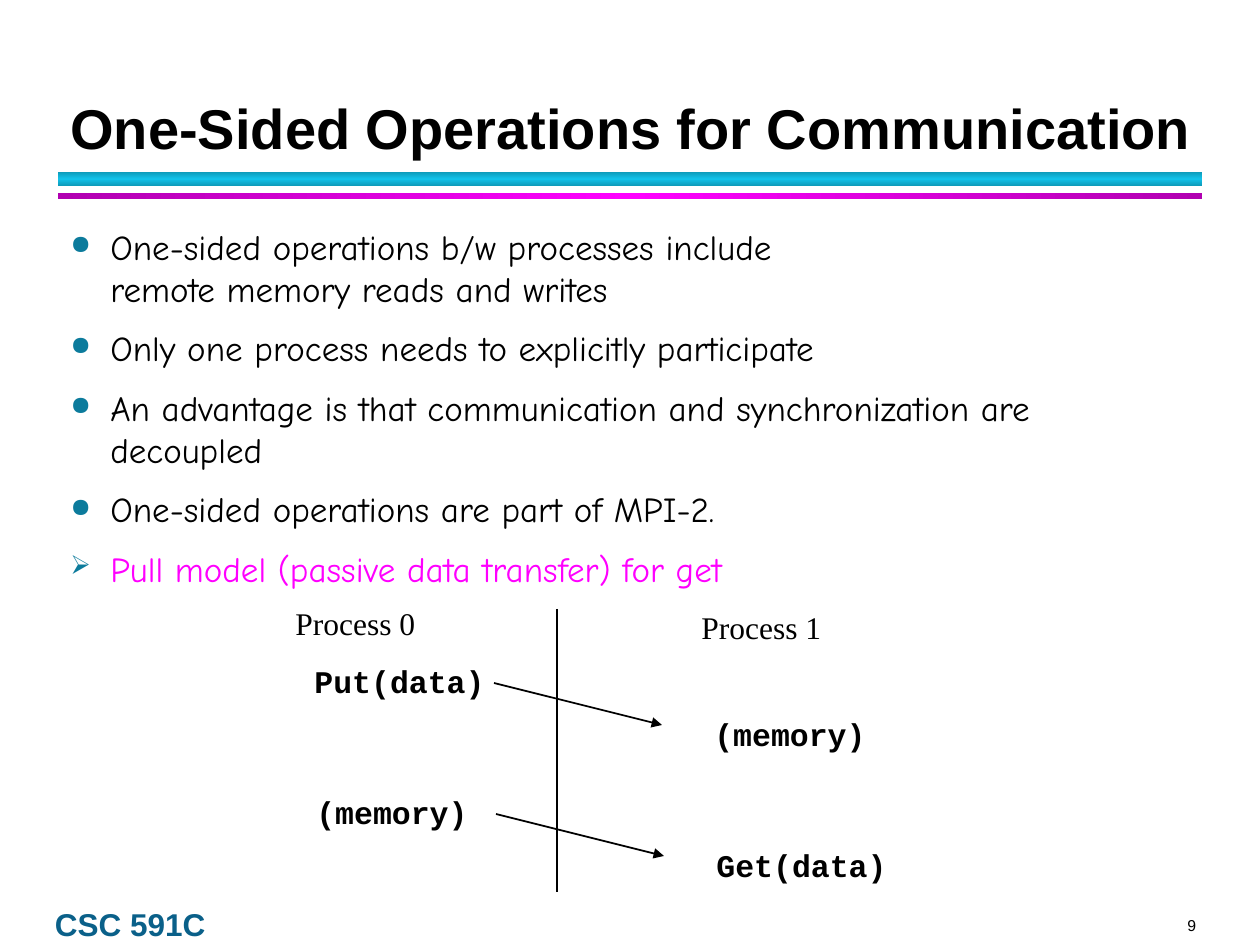
from copy import deepcopy

from lxml.etree import SubElement
from pptx import Presentation
from pptx.dml.color import RGBColor
from pptx.enum.shapes import MSO_CONNECTOR, MSO_SHAPE
from pptx.enum.text import MSO_ANCHOR, PP_ALIGN
from pptx.oxml.ns import qn
from pptx.util import Emu, Pt

SCALE = 914400 / 126  # EMU in one px

COLORS = {
    "text": "000000",
    "course": "0A6089",
    "bullet": "0C7B9C",
    "accent": "FF00FF",
    "cyan_edge": "0E9AB9",
    "cyan_middle": "12C2E9",
    "magenta_edge": "B100B1",
}
BULLETS = [
    ("●", "One-sided operations b/w processes include\vremote memory reads and writes", "text"),
    ("●", "Only one process needs to explicitly participate", "text"),
    ("●", "An advantage is that communication and synchronization are decoupled", "text"),
    ("●", "One-sided operations are part of MPI-2.", "text"),
    ("➢", "Pull model (passive data transfer) for get", "accent"),
]


def px(length):
    return Emu(round(length * SCALE))


def color(name):
    return RGBColor.from_string(COLORS[name])


def style(paragraph, size, font_name, color_name="text", bold=False):
    font = paragraph.font
    font.size, font.name, font.bold = Pt(size), font_name, bold
    font.color.rgb = color(color_name)


def add_text_frame(page, box, wrap=True, inset=True, anchor=MSO_ANCHOR.TOP):
    frame = page.shapes.add_textbox(*map(px, box)).text_frame
    frame.word_wrap = wrap
    frame.vertical_anchor = anchor
    if not inset:
        frame.margin_left = frame.margin_right = 0
        frame.margin_top = frame.margin_bottom = 0
    return frame


def add_label(page, box, text, font_name, bold=False):
    paragraph = add_text_frame(page, box, wrap=False).paragraphs[0]
    paragraph.text = text
    style(paragraph, 18, font_name, bold=bold)


def add_line(page, start, end, arrow=False):
    line = page.shapes.add_connector(MSO_CONNECTOR.STRAIGHT, *map(px, start + end))
    line.line.color.rgb = color("text")
    line.line.width = Pt(1)
    properties = line._element.spPr
    if arrow:
        SubElement(properties.find(qn("a:ln")), qn("a:tailEnd"), type="triangle")
    SubElement(properties, qn("a:effectLst"))


def add_gradient_bar(page, box, edge, middle, angle):
    bar = page.shapes.add_shape(MSO_SHAPE.RECTANGLE, *map(px, box))
    bar.shadow.inherit = False
    bar.line.fill.background()
    bar.fill.gradient()
    bar.fill.gradient_angle = angle
    stop_list = bar._element.spPr.find(qn("a:gradFill")).find(qn("a:gsLst"))
    stop_list.append(deepcopy(stop_list[0]))
    for stop, position, name in zip(bar.fill.gradient_stops, (0, 0.5, 1), (edge, middle, edge)):
        stop.position = position
        stop.color.rgb = color(name)


def add_header(page, box):
    left, top, width, height = box
    # Title
    frame = add_text_frame(page, (left, top, width, 125), anchor=MSO_ANCHOR.BOTTOM)
    paragraph = frame.paragraphs[0]
    paragraph.text = "One-Sided Operations for Communication"
    paragraph.line_spacing = Pt(36)
    style(paragraph, 32, "Arial", bold=True)
    # Double rule
    add_gradient_bar(page, (left, top + 130, 1144, 14), "cyan_edge", "cyan_middle", 90)
    add_gradient_bar(page, (left, top + 151, 1144, 6), "magenta_edge", "accent", 0)


def add_bullet(paragraph, character):
    properties = paragraph._p.get_or_add_pPr()
    properties.set("marL", str(px(40)))
    properties.set("indent", str(-px(40)))
    bullet_color = SubElement(properties, qn("a:buClr"))
    SubElement(bullet_color, qn("a:srgbClr"), val=COLORS["bullet"])
    SubElement(properties, qn("a:buSzPct"), val="75000")
    SubElement(properties, qn("a:buChar"), char=character)


def add_bullets(page, box):
    frame = add_text_frame(page, box)
    for index, (character, text, color_name) in enumerate(BULLETS):
        paragraph = frame.add_paragraph() if index else frame.paragraphs[0]
        paragraph.text = text
        add_bullet(paragraph, character)
        paragraph.line_spacing = Pt(24)
        paragraph.space_before = Pt(6 if index else 0)
        paragraph.space_after = Pt(4)
        style(paragraph, 20, "Comic Neue", color_name)


def add_transfer(page, left, top, sender, receiver):
    for text, x, y in ((sender, left, top), (receiver, left + 400, top + 53)):
        width = 43 + 19 * (len(text) - 1)
        add_label(page, (x, y, width, 50), text, "Courier New", bold=True)
    add_line(page, (left + 192, top + 27), (left + 360, top + 69), arrow=True)


def add_diagram(page, box):
    left, top, width, height = box
    # Processes and the line between them
    add_label(page, (left, top, 145, 50), "Process 0", "Times New Roman")
    add_label(page, (left + 406, top + 4, 145, 50), "Process 1", "Times New Roman")
    add_line(page, (left + 274, top + 11), (left + 274, top + height))
    # Transfers
    add_transfer(page, left + 19, top + 58, "Put(data)", "(memory)")
    add_transfer(page, left + 21, top + 189, "(memory)", "Get(data)")


def add_footer(page, box):
    left, top, width, height = box
    # Course name
    course_box = (left, top, 176, height)
    course = add_text_frame(page, course_box, inset=False, anchor=MSO_ANCHOR.BOTTOM).paragraphs[0]
    course.text = "CSC 591C"
    course.line_spacing = Pt(20)
    style(course, 18, "Arial", "course", bold=True)
    # Page number
    number_box = (left + width - 92, top + 8, 92, 19)
    number = add_text_frame(page, number_box, inset=False, anchor=MSO_ANCHOR.BOTTOM).paragraphs[0]
    number.text = "9"
    number.alignment = PP_ALIGN.RIGHT
    style(number, 9, "Arial")


def main():
    deck = Presentation()
    deck.slide_width, deck.slide_height = px(1260), px(945)
    page = deck.slides.add_slide(deck.slide_layouts[6])
    add_footer(page, (55, 908, 1141, 35))
    add_header(page, (58, 42, 1202, 157))
    add_bullets(page, (58, 219, 1147, 417))
    add_diagram(page, (283, 598, 615, 294))
    deck.save("out.pptx")


if __name__ == "__main__":
    main()
